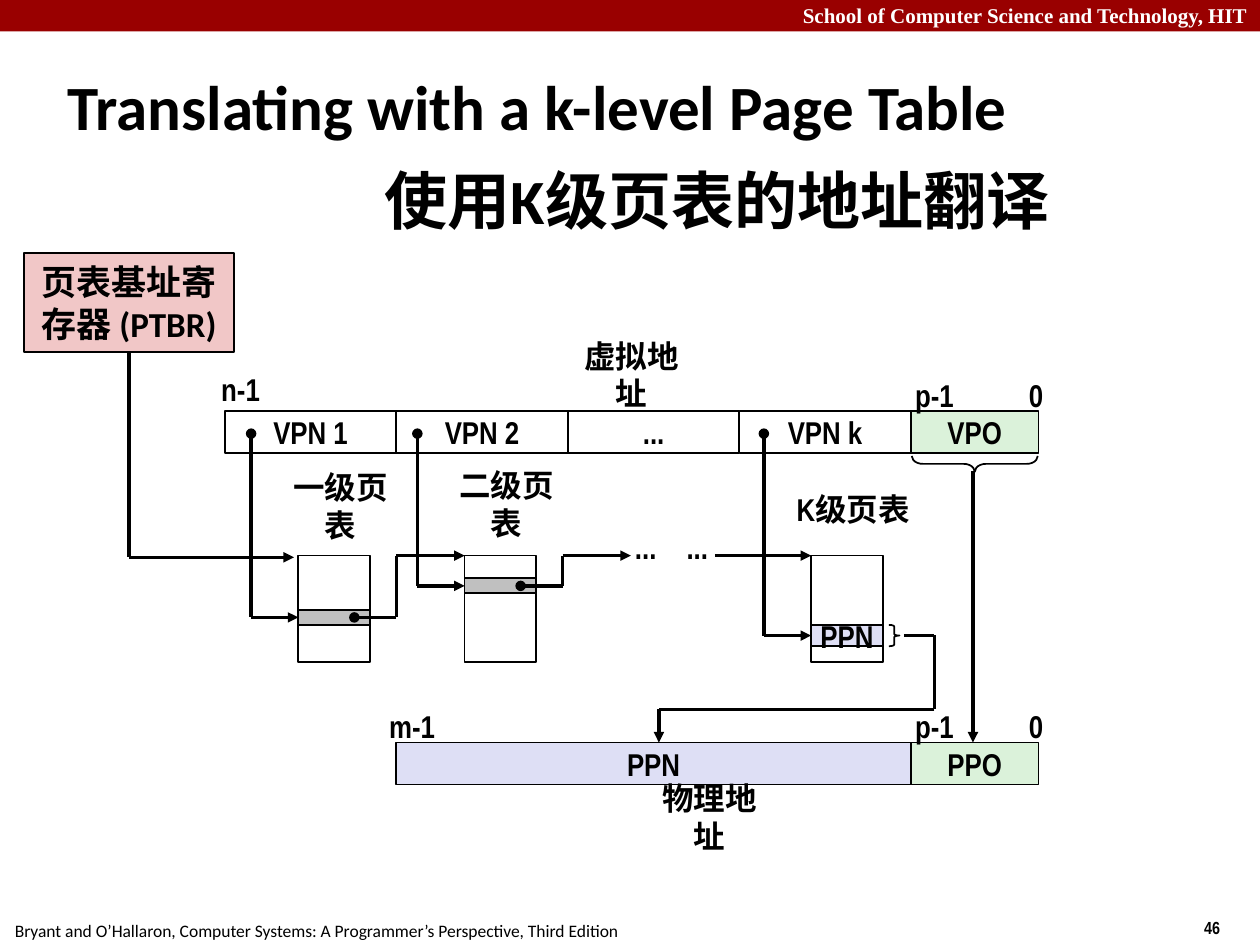
from itertools import pairwise

from lxml import etree
from pptx import Presentation
from pptx.dml.color import RGBColor
from pptx.enum.shapes import MSO_CONNECTOR, MSO_SHAPE
from pptx.enum.text import MSO_ANCHOR, PP_ALIGN
from pptx.oxml.ns import qn
from pptx.util import Pt

RECT, BRACE = MSO_SHAPE.RECTANGLE, MSO_SHAPE.RIGHT_BRACE
STRAIGHT = MSO_CONNECTOR.STRAIGHT
LEFT, CENTER, RIGHT = PP_ALIGN.LEFT, PP_ALIGN.CENTER, PP_ALIGN.RIGHT
TOP, MIDDLE = MSO_ANCHOR.TOP, MSO_ANCHOR.MIDDLE
COLORS = {"black": "000000", "white": "FFFFFF", "banner": "990000", "register": "F1C7C7",
          "offset": "DBF2DA", "physical": "DEDFF5", "entry": "C0C0C0"}
NARROW, SANS, SERIF = "Arial Narrow", "Calibri", "Times New Roman"


def color(name):
    """Return the named colour."""
    return RGBColor.from_string(COLORS[name])


def write(shape, lines, size=18, font=NARROW, bold=True, ink="black", align=CENTER,
          anchor=MIDDLE, wrap=False):
    """Write one paragraph per line into a shape and return its text frame."""
    frame = shape.text_frame
    frame.word_wrap, frame.vertical_anchor = wrap, anchor
    for index, line in enumerate(lines):
        para = frame.add_paragraph() if index else frame.paragraphs[0]
        para.alignment = align
        span = para.add_run()
        span.text = line
        span.font.size, span.font.name, span.font.bold = Pt(size), font, bold
        span.font.color.rgb = color(ink)
    return frame


def add_text(page, box, *lines, **style):
    """Place a text box."""
    return write(page.shapes.add_textbox(*map(Pt, box)), lines, **style)


def add_label(page, center, top, text):
    """Place a diagram label centred on a given position."""
    add_text(page, (center - 43, top, 86, 28.8), text)


def add_outline(page, box, fill=None, kind=RECT, line="black"):
    """Place an outlined preset shape without a shadow."""
    shape = page.shapes.add_shape(kind, *map(Pt, box))
    shape.shadow.inherit = False
    if fill:
        shape.fill.solid()
        shape.fill.fore_color.rgb = color(fill)
    else:
        shape.fill.background()
    if line:
        shape.line.color.rgb = color(line)
        shape.line.width = Pt(1)
    else:
        shape.line.fill.background()
    return shape


def add_brace(page, box, bend, rotation=0):
    """Place a curly brace."""
    brace = add_outline(page, box, kind=BRACE)
    brace.adjustments[0] = bend
    brace.rotation = rotation


def add_route(page, points, dot=False, arrow=True):
    """Draw straight segments through points, with optional end marks."""
    segments = list(pairwise(points))
    for index, (start, end) in enumerate(segments):
        wire = page.shapes.add_connector(STRAIGHT, *map(Pt, start + end))
        wire.line.color.rgb = color("black")
        wire.line.width = Pt(2)
        line = wire.line._get_or_add_ln()
        if dot and index == 0:
            etree.SubElement(line, qn("a:headEnd"), type="oval")
        if arrow and index == len(segments) - 1:
            etree.SubElement(line, qn("a:tailEnd"), type="triangle")
        etree.SubElement(wire._element.spPr, qn("a:effectLst"))


def add_frame(page, box):
    """Place the banner, footer and page number."""
    left, top, width, height = box
    add_outline(page, (left, top, width, 18), "banner", line=None)
    add_text(page, (left, top - 2, width, 21.6), "School of Computer Science and Technology, HIT",
             size=12, font=SERIF, ink="white", align=RIGHT, anchor=TOP, wrap=True)
    add_text(page, (left + 1.4, top + height - 18, 380, 18),
             "Bryant and O’Hallaron, Computer Systems: A Programmer’s Perspective, Third Edition",
             size=10, font=SANS, bold=False, align=LEFT, anchor=TOP, wrap=True)
    add_text(page, (left + width - 39, top + height - 19.5, 36, 19.5), "46",
             size=10, align=LEFT, anchor=TOP, wrap=True)


def add_title(page, box):
    """Place the two-line title with its second line indented."""
    frame = add_text(page, box, "Translating with a k-level Page Table", "使用K级页表的地址翻译",
                     size=36, font=SANS, align=LEFT, wrap=True)
    for para, indent in zip(frame.paragraphs, (0, 181)):
        para.line_spacing = 1.25
        para._p.get_or_add_pPr().set("marL", str(Pt(indent)))


def add_register(page, box, target):
    """Place the base register and its route to the first table."""
    left, top, width, height = box
    write(add_outline(page, box, "register"), ["页表基址寄存器 (PTBR)"], size=20, font=SANS, wrap=True)
    middle = left + width / 2
    add_route(page, [(middle, top + height), (middle, target[1]), target])


def add_address(page, box, fields, high_bit, lift):
    """Place an address row: equal leading fields, a page offset and bit labels."""
    left, top, width, height = box
    offset_width = 73
    field_width = (width - offset_width) / (len(fields) - 1)
    for index, (text, fill) in enumerate(fields):
        last = index == len(fields) - 1
        cell = (left + index * field_width, top, offset_width if last else field_width, height)
        write(add_outline(page, cell, fill), [text])
    right = left + width
    add_label(page, left + 9, top - 23.8 - lift, high_bit)
    add_label(page, right - offset_width + 13.5, top - 23.8, "p-1")
    add_label(page, right - 1.5, top - 23.8, "0")


def add_page_table(page, box, caption, rise, entry, index_top, text=None):
    """Place a page table with its index route and the route out of its entry."""
    left, top, width, height = box
    drop, entry_height = entry
    middle = top + drop + entry_height / 2
    add_outline(page, box)
    slot = add_outline(page, (left, top + drop, width, entry_height),
                       "physical" if text else "entry")
    add_route(page, [(left - 27, index_top), (left - 27, middle), (left, middle)], dot=True)
    add_label(page, left + 24, top - rise, caption)
    if text:
        write(slot, [text])
        add_brace(page, (left + width + 3.5, top + drop, 6, entry_height), 0.15)
    else:
        add_route(page, [(left + 32, middle), (left + 56, middle), (left + 56, top),
                         (left + 95, top)], dot=True)


def add_diagram(page, box):
    """Place the whole address translation diagram."""
    left, top, width, height = box
    row_height, offset_left = 24, left + 392
    bottom, table_top = top + height - row_height, top + 82.7
    add_address(page, (left, top, width, row_height),
                [("VPN 1", None), ("VPN 2", None), ("...", None), ("VPN k", None),
                 ("VPO", "offset")], "n-1", 3)
    add_address(page, (left + 98, bottom, width - 98, row_height),
                [("PPN", "physical"), ("PPO", "offset")], "m-1", 0)
    for table_left, *details in (
            (left + 42, "一级页表", 43, (31, 8.6)),
            (left + 137, "二级页表", 44, (13, 8.6)),
            (left + 335, "K级页表", 41, (39.6, 12.2), "PPN")):
        caption, rise, entry, *text = details
        add_page_table(page, (table_left, table_top, 41, 61), caption, rise, entry,
                       top + 13, *text)
    add_label(page, left + 232.5, top - 35.2, "虚拟地址")
    add_label(page, left + 277, bottom + 28, "物理地址")
    for center in (left + 240.5, left + 270):
        add_label(page, center, table_top - 19.4, "...")
    add_route(page, [(left + 280, table_top), (left + 335, table_top)])
    add_brace(page, (offset_left + 32, top - 5.7, 9, 72), 0.7, 90)
    add_route(page, [(offset_left + 35.5, top + 34.6), (offset_left + 35.5, bottom)])
    add_route(page, [(left + 388, top + 128.3), (left + 405.5, top + 128.3),
                     (left + 405.5, bottom - 19), (left + 248, bottom - 19),
                     (left + 248, bottom)])


def main():
    """Build and save the deck."""
    deck = Presentation()
    deck.slide_width, deck.slide_height = Pt(720), Pt(540)
    page = deck.slides.add_slide(deck.slide_layouts[6])
    add_frame(page, (0, 0, 720, 540))
    add_title(page, (31.7, 19.4, 652, 124.6))
    add_register(page, (13.7, 144.5, 120, 56.7), (168, 318.5))
    add_diagram(page, (128.5, 234.8, 465, 213.5))
    deck.save("out.pptx")


if __name__ == "__main__":
    main()
